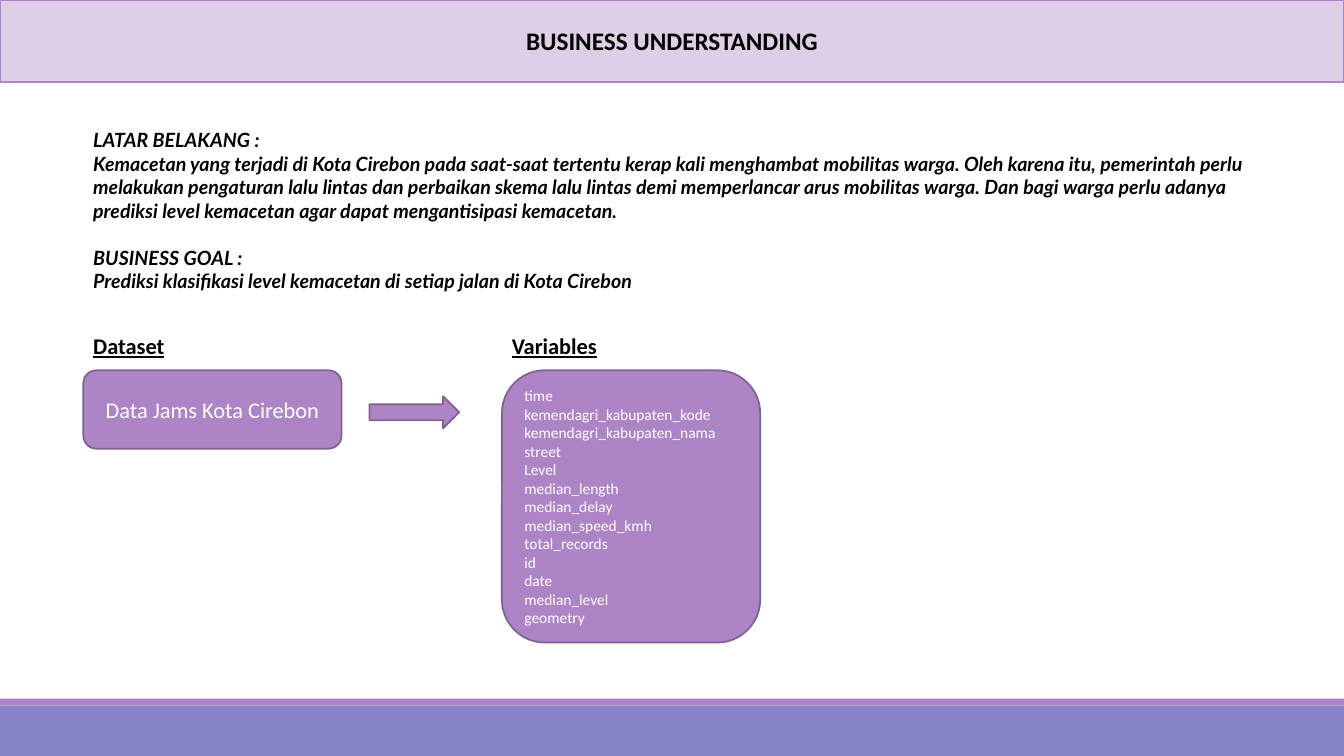
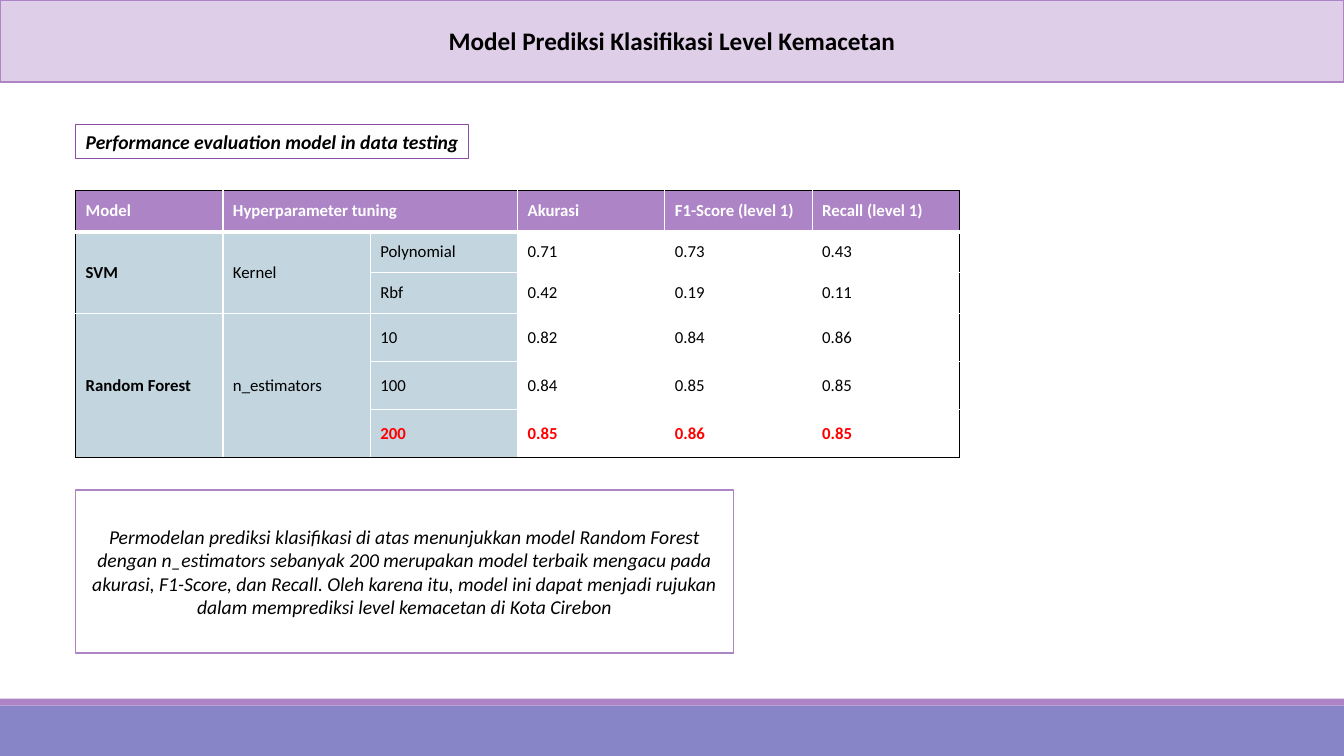
import pptx
import pptx.dml.color
import pptx.enum.shapes
import pptx.enum.text
import pptx.oxml.ns
import pptx.util
from lxml import etree

Pt = pptx.util.Pt
RGBColor = pptx.dml.color.RGBColor
SHAPE = pptx.enum.shapes.MSO_SHAPE
ALIGN = pptx.enum.text.PP_ALIGN
ANCHOR = pptx.enum.text.MSO_ANCHOR

BLACK = RGBColor(0x00, 0x00, 0x00)
WHITE = RGBColor(0xFF, 0xFF, 0xFF)
RED = RGBColor(0xFF, 0x00, 0x00)
PURPLE = RGBColor(0xAD, 0x84, 0xC6)
DARK_PURPLE = RGBColor(0x80, 0x62, 0x92)
DEEP_PURPLE = RGBColor(0x87, 0x4E, 0xA9)
LILAC = RGBColor(0xDE, 0xCE, 0xE8)
INDIGO = RGBColor(0x87, 0x84, 0xC7)
BLUE_GREY = RGBColor(0xC3, 0xD5, 0xDF)

WIDTH, HEIGHT = 960, 540

BACKGROUND = [
    "LATAR BELAKANG :",
    "Kemacetan yang terjadi di Kota Cirebon pada saat-saat tertentu kerap kali "
    "menghambat mobilitas warga. Oleh karena itu, pemerintah perlu melakukan "
    "pengaturan lalu lintas dan perbaikan skema lalu lintas demi memperlancar arus "
    "mobilitas warga. Dan bagi warga perlu adanya prediksi level kemacetan agar "
    "dapat mengantisipasi kemacetan.",
    "BUSINESS GOAL :",
    "Prediksi klasifikasi level kemacetan di setiap jalan di Kota Cirebon",
]
VARIABLES = [
    "time", "kemendagri_kabupaten_kode", "kemendagri_kabupaten_nama", "street",
    "Level", "median_length", "median_delay", "median_speed_kmh", "total_records",
    "id", "date", "median_level", "geometry",
]
SCORES = [
    ["Model", "Hyperparameter tuning", "", "Akurasi", "F1-Score (level 1)",
     "Recall (level 1)"],
    ["SVM", "Kernel", "Polynomial", "0.71", "0.73", "0.43"],
    ["", "", "Rbf", "0.42", "0.19", "0.11"],
    ["Random Forest", "n_estimators", "10", "0.82", "0.84", "0.86"],
    ["", "", "100", "0.84", "0.85", "0.85"],
    ["", "", "200", "0.85", "0.86", "0.85"],
]
MERGES = [((0, 1), (0, 2)), ((1, 0), (2, 0)), ((1, 1), (2, 1)),
          ((3, 0), (5, 0)), ((3, 1), (5, 1))]
CONCLUSION = (
    "Permodelan prediksi klasifikasi di atas menunjukkan model Random Forest dengan "
    "n_estimators sebanyak 200 merupakan model terbaik mengacu pada akurasi, "
    "F1-Score, dan Recall. Oleh karena itu, model ini dapat menjadi rujukan dalam "
    "memprediksi level kemacetan di Kota Cirebon"
)


def write(frame, text, size=14, font="Calibri", color=BLACK, bold=False,
          italic=False, underline=False, align=ALIGN.LEFT, anchor=ANCHOR.TOP):
    """Fill a text frame with one paragraph, or with one for each item of a list."""
    frame.word_wrap = True
    frame.vertical_anchor = anchor
    for index, line in enumerate([text] if isinstance(text, str) else text):
        para = frame.add_paragraph() if index else frame.paragraphs[0]
        para.alignment = align
        span = para.add_run()
        span.text = line
        span.font.size = Pt(size)
        span.font.name = font
        span.font.color.rgb = color
        span.font.bold = bold
        span.font.italic = italic
        span.font.underline = underline


def add_box(page, kind, left, top, width, height, fill=None, line=None, weight=1):
    box = page.shapes.add_shape(kind, Pt(left), Pt(top), Pt(width), Pt(height))
    box.shadow.inherit = False
    if fill is None:
        box.fill.background()
    else:
        box.fill.solid()
        box.fill.fore_color.rgb = fill
    if line is None:
        box.line.fill.background()
    else:
        box.line.color.rgb = line
        box.line.width = Pt(weight)
    return box


def add_text(page, text, left, top, width, height, **style):
    box = page.shapes.add_textbox(Pt(left), Pt(top), Pt(width), Pt(height))
    write(box.text_frame, text, **style)
    return box


def add_page(deck, title):
    """Add a slide with the shared title band and footer."""
    page = deck.slides.add_slide(deck.slide_layouts[6])
    add_box(page, SHAPE.RECTANGLE, 0, 504, WIDTH, 36, INDIGO)
    add_box(page, SHAPE.RECTANGLE, 0, 499, WIDTH, 5, PURPLE)
    band = add_box(page, SHAPE.RECTANGLE, 0, 0, WIDTH, 58.5, LILAC, PURPLE)
    write(band.text_frame, title, size=18, bold=True,
          align=ALIGN.CENTER, anchor=ANCHOR.MIDDLE)
    return page


def add_data_flow(page, left, top):
    """Place the dataset card, the arrow and the variables card."""
    card_width, card_top, variables_left = 184.5, top + 30.5, left + 299
    cards = [
        ("Dataset", left, 56, "Data Jams Kota Cirebon", 16, ALIGN.CENTER),
        ("Variables", variables_left, 194.5, VARIABLES, 11, ALIGN.LEFT),
    ]
    for heading, card_left, height, text, size, align in cards:
        add_text(page, heading, card_left, top, card_width, 26.5,
                 size=16, bold=True, underline=True)
        card = add_box(page, SHAPE.ROUNDED_RECTANGLE, card_left, card_top,
                       card_width, height, PURPLE, DARK_PURPLE, 1.25)
        write(card.text_frame, text, size=size, color=WHITE, align=align,
              anchor=ANCHOR.MIDDLE)
    add_box(page, SHAPE.RIGHT_ARROW, left + 204.5, card_top + 18.5, 64, 23,
            PURPLE, DARK_PURPLE, 1.25)


def set_border(cell, side, color, weight):
    props = cell._tc.get_or_add_tcPr()
    line = etree.SubElement(props, pptx.oxml.ns.qn("a:ln" + side), w=str(Pt(weight)))
    solid = etree.SubElement(line, pptx.oxml.ns.qn("a:solidFill"))
    etree.SubElement(solid, pptx.oxml.ns.qn("a:srgbClr"), val=str(color))


def format_score_cell(cell, text, row, column):
    last_row, last_column = len(SCORES) - 1, len(SCORES[0]) - 1
    end_row = row + cell.span_height - 1 if cell.is_merge_origin else row
    outer, inner, header_rule = (BLACK, 1), (WHITE, 1), (WHITE, 3)
    set_border(cell, "L", *(outer if column == 0 else inner))
    set_border(cell, "R", *(outer if column == last_column else inner))
    set_border(cell, "T", *({0: outer, 1: header_rule}.get(row, inner)))
    set_border(cell, "B", *({0: header_rule, last_row: outer}.get(end_row, inner)))

    header, best = row == 0, row == last_row
    if header or column < 3:
        cell.fill.solid()
        cell.fill.fore_color.rgb = PURPLE if header else BLUE_GREY
    else:
        cell.fill.background()
    cell.vertical_anchor = ANCHOR.MIDDLE
    if text:
        write(cell.text_frame, text, size=12, anchor=ANCHOR.MIDDLE,
              color=WHITE if header else RED if best else BLACK,
              bold=header or best or column == 0)


def add_score_table(page, left, top, width):
    heights = [29.2] * 3 + [34.4] * 3
    columns = len(SCORES[0])
    table = page.shapes.add_table(len(SCORES), columns, Pt(left), Pt(top),
                                  Pt(width), Pt(sum(heights))).table
    table.first_row = table.horz_banding = False
    for column in table.columns:
        column.width = Pt(width / columns)
    for row, height in zip(table.rows, heights):
        row.height = Pt(height)
    for start, end in MERGES:
        table.cell(*start).merge(table.cell(*end))
    for row, values in enumerate(SCORES):
        for column, text in enumerate(values):
            format_score_cell(table.cell(row, column), text, row, column)


def add_business_slide(deck):
    page = add_page(deck, "BUSINESS UNDERSTANDING")
    story = add_text(page, BACKGROUND, 59.5, 88, 852.5, 126,
                     font="Lato", bold=True, italic=True)
    story.text_frame.paragraphs[2].space_before = Pt(16.8)
    add_data_flow(page, 59.5, 234)


def add_model_slide(deck):
    page = add_page(deck, "Model Prediksi Klasifikasi Level Kemacetan")
    left = 54
    add_score_table(page, left, 136.3, 631.5)
    conclusion = add_box(page, SHAPE.RECTANGLE, left, 350, 470, 116.5,
                         WHITE, PURPLE, 1.25)
    write(conclusion.text_frame, CONCLUSION, italic=True,
          align=ALIGN.CENTER, anchor=ANCHOR.MIDDLE)
    caption = add_box(page, SHAPE.RECTANGLE, left, 89, 281, 24.2,
                      line=DEEP_PURPLE, weight=0.75)
    write(caption.text_frame, "Performance evaluation model in data testing",
          bold=True, italic=True, align=ALIGN.CENTER)


def main():
    deck = pptx.Presentation()
    deck.slide_width, deck.slide_height = Pt(WIDTH), Pt(HEIGHT)
    add_business_slide(deck)
    add_model_slide(deck)
    deck.save("out.pptx")


if __name__ == "__main__":
    main()
